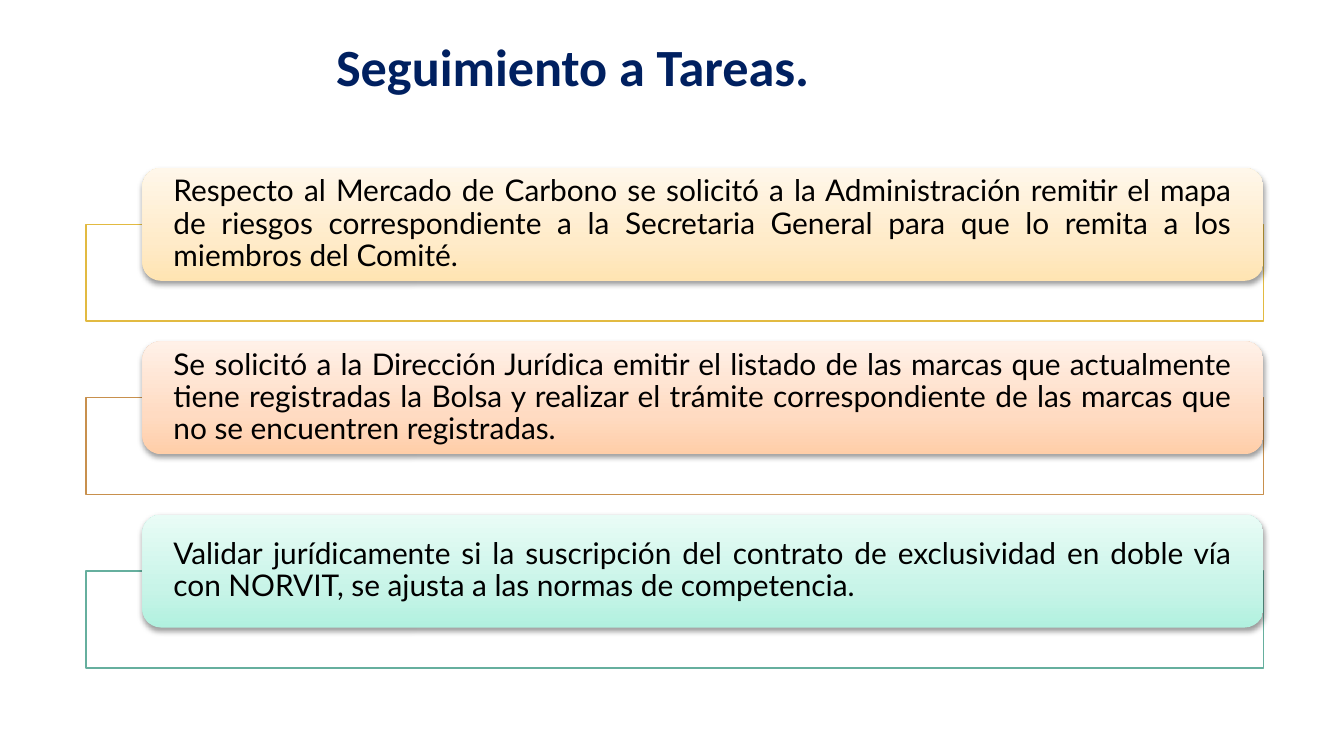
from copy import deepcopy

from lxml import etree
from pptx import Presentation
from pptx.dml.color import RGBColor
from pptx.enum.shapes import MSO_SHAPE
from pptx.enum.text import MSO_ANCHOR, PP_ALIGN
from pptx.oxml.ns import qn
from pptx.util import Inches, Pt

RECTANGLE, ROUNDED = MSO_SHAPE.RECTANGLE, MSO_SHAPE.ROUNDED_RECTANGLE
TOP, MIDDLE = MSO_ANCHOR.TOP, MSO_ANCHOR.MIDDLE
CENTER, JUSTIFY = PP_ALIGN.CENTER, PP_ALIGN.JUSTIFY
TITLE_ONLY = 5

WIDTH = 10
HEIGHT = WIDTH * 9 / 16
FIRST_ROW, ROW_PITCH = 1.25, 1.29
FRAME_LEFT, FRAME_DROP, FRAME_WIDTH, FRAME_HEIGHT = 0.64, 0.42, 8.76, 0.72
CARD_LEFT, CARD_WIDTH, CARD_HEIGHT = 1.06, 8.34, 0.84

NAVY = RGBColor(0x00, 0x20, 0x60)
BLACK = RGBColor(0x00, 0x00, 0x00)
WHITE = RGBColor(0xFF, 0xFF, 0xFF)
GOLD = RGBColor(0xE2, 0xBA, 0x41)
GOLD_TINTS = (RGBColor(0xFF, 0xE4, 0xB2), RGBColor(0xFF, 0xEB, 0xC9), RGBColor(0xFF, 0xF7, 0xEA))
BRONZE = RGBColor(0xC8, 0x90, 0x4D)
BRONZE_TINTS = (RGBColor(0xFF, 0xCE, 0xA8), RGBColor(0xFF, 0xDB, 0xC2), RGBColor(0xFF, 0xF1, 0xE8))
GREEN = RGBColor(0x66, 0xAF, 0x9E)
GREEN_TINTS = (RGBColor(0xB1, 0xF1, 0xDF), RGBColor(0xC8, 0xF4, 0xE8), RGBColor(0xE9, 0xFC, 0xF6))

TASKS = [
    ("Respecto al Mercado de Carbono se solicitó a la Administración remitir el mapa "
     "de riesgos correspondiente a la Secretaria General para que lo remita a los "
     "miembros del Comité.", GOLD, GOLD_TINTS),
    ("Se solicitó a la Dirección Jurídica emitir el listado de las marcas que actualmente "
     "tiene registradas la Bolsa y realizar el trámite correspondiente de las marcas que "
     "no se encuentren registradas.", BRONZE, BRONZE_TINTS),
    ("Validar jurídicamente si la suscripción del contrato de exclusividad en doble vía "
     "con NORVIT, se ajusta a las normas de competencia.", GREEN, GREEN_TINTS),
]


def write(shape, text, *, font, size, color, align, anchor, spacing, inset=0, bold=False):
    """Put one formatted paragraph into a shape."""
    frame = shape.text_frame
    frame.word_wrap = True
    frame.vertical_anchor = anchor
    frame.margin_left = frame.margin_right = Inches(inset)
    frame.margin_top = frame.margin_bottom = 0
    paragraph = frame.paragraphs[0]
    paragraph.alignment = align
    paragraph.line_spacing = spacing
    run = paragraph.add_run()
    run.text = text
    run.font.name, run.font.size, run.font.bold = font, Pt(size), bold
    run.font.color.rgb = color


class TaskSlide:
    """Hold the style and the slide that receives the elements."""

    heading_style = dict(font="Calibri", size=28, color=NAVY, bold=True,
                         align=CENTER, anchor=TOP, spacing=0.85)
    task_style = dict(font="Lato", size=16, color=BLACK, inset=0.19,
                      align=JUSTIFY, anchor=MIDDLE, spacing=0.9)
    tint_positions = (0, 0.35, 1)

    def __init__(self, deck):
        self.slide = deck.slides.add_slide(deck.slide_layouts[TITLE_ONLY])

    def heading(self, text, left, top, width, height):
        title = self.slide.shapes.title
        title.left, title.top = Inches(left), Inches(top)
        title.width, title.height = Inches(width), Inches(height)
        write(title, text, **self.heading_style)

    def block(self, kind, *box):
        shape = self.slide.shapes.add_shape(kind, *map(Inches, box))
        shape.shadow.inherit = False
        return shape

    def frame(self, row, color):
        top = FIRST_ROW + row * ROW_PITCH + FRAME_DROP
        frame = self.block(RECTANGLE, FRAME_LEFT, top, FRAME_WIDTH, FRAME_HEIGHT)
        frame.fill.solid()
        frame.fill.fore_color.rgb = WHITE
        tone = frame._element.spPr.find(qn("a:solidFill"))[0]
        etree.SubElement(tone, qn("a:alpha"), val="90000")
        frame.line.color.rgb = color
        frame.line.width = Pt(0.75)

    def card(self, row, text, tints):
        top = FIRST_ROW + row * ROW_PITCH
        card = self.block(ROUNDED, CARD_LEFT, top, CARD_WIDTH, CARD_HEIGHT)
        card.line.fill.background()
        self.shade(card, tints)
        self.drop_shadow(card)
        write(card, text, **self.task_style)

    def shade(self, shape, tints):
        shape.fill.gradient()
        shape.fill.gradient_angle = 90
        stops = shape._element.spPr.find(".//" + qn("a:gsLst"))
        stops.append(deepcopy(stops[0]))
        for stop, tint, position in zip(shape.fill.gradient_stops, tints, self.tint_positions):
            stop.color.rgb = tint
            stop.position = position

    def drop_shadow(self, shape):
        effects = shape._element.spPr.find(qn("a:effectLst"))
        shadow = etree.SubElement(effects, qn("a:outerShdw"), blurRad=str(Pt(3.1)),
                                  dist=str(Pt(1.6)), dir="5400000", rotWithShape="0")
        tone = etree.SubElement(shadow, qn("a:srgbClr"), val=str(BLACK))
        etree.SubElement(tone, qn("a:alpha"), val="38000")


def main():
    """Build the task follow-up slide."""
    deck = Presentation()
    deck.slide_width, deck.slide_height = Inches(WIDTH), Inches(HEIGHT)
    page = TaskSlide(deck)
    page.heading("Seguimiento a Tareas.", 0.25, 0.33, 8.02, 0.91)
    for row, (text, color, tints) in enumerate(TASKS):
        page.frame(row, color)
        page.card(row, text, tints)
    deck.save("out.pptx")


main()
